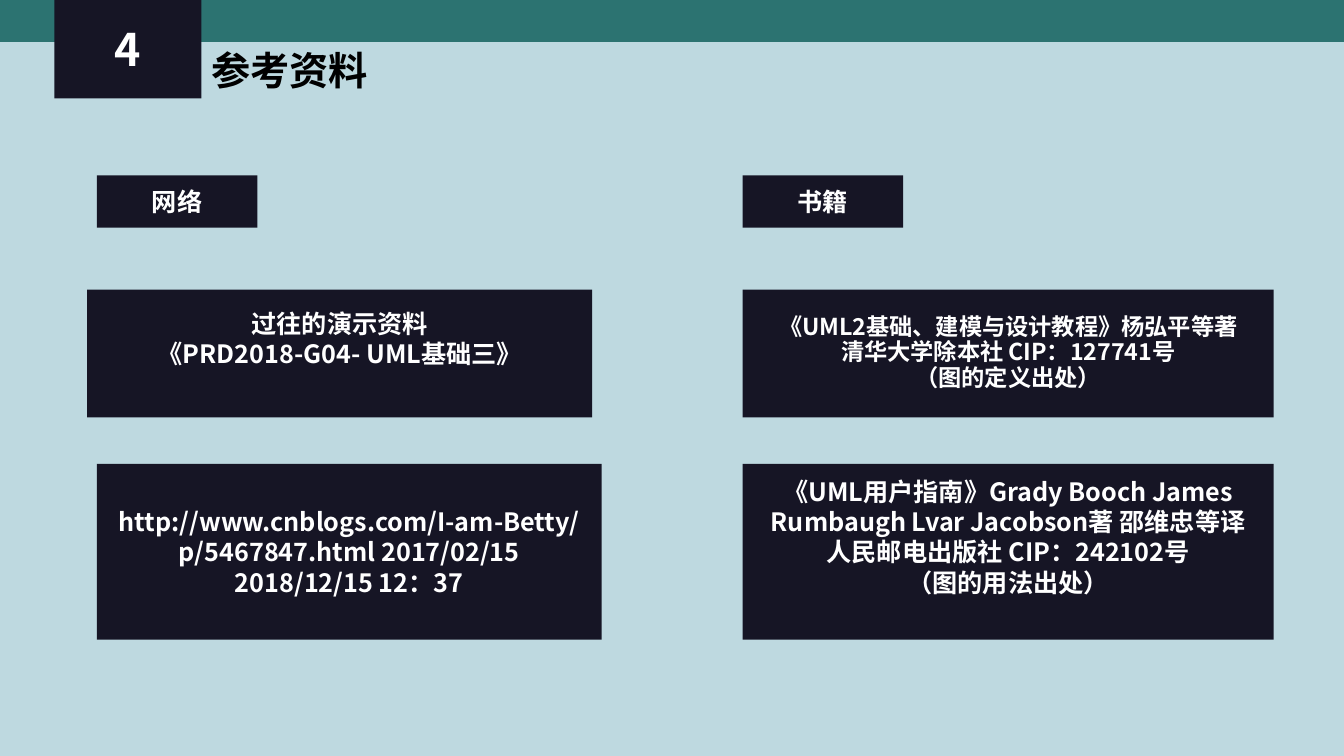
from dataclasses import dataclass

from lxml import etree
from pptx import Presentation
from pptx import util as u
from pptx.dml.color import RGBColor
from pptx.enum import shapes, text
from pptx.oxml.ns import qn


@dataclass(frozen=True)
class Theme:
    background: str = "BED9E0"
    band: str = "2C7371"
    panel: str = "161525"
    light: str = "FFFFFF"
    dark: str = "000000"
    latin_title: str = "Arial"
    body_font: str = "Noto Sans CJK SC"
    number_size: float = 32
    title_size: float = 28
    body_size: float = 18
    compact_size: float = 16.6


class ReferenceSlide:
    def __init__(self, presentation, theme):
        self.theme = theme
        layout = presentation.slide_layouts.get_by_name("Title Only")
        self.slide = presentation.slides.add_slide(layout)
        fill = self.slide.background.fill
        fill.solid()
        fill.fore_color.rgb = RGBColor.from_string(theme.background)

    def style(self, paragraph, size, color, font_name, alignment):
        paragraph.alignment = alignment
        font = paragraph.font
        font.size, font.bold, font.name = u.Pt(size), True, font_name
        font.color.rgb = RGBColor.from_string(color)
        properties = paragraph._p.pPr.find(qn("a:defRPr"))
        east_asian = etree.SubElement(properties, qn("a:ea"))
        east_asian.set("typeface", self.theme.body_font)

    def title(self, words, left, top, width, height):
        shape = self.slide.shapes.title
        shape.left, shape.top = u.Cm(left), u.Cm(top)
        shape.width, shape.height = u.Cm(width), u.Cm(height)
        frame = shape.text_frame
        frame.text = words
        frame.vertical_anchor = text.MSO_ANCHOR.TOP
        frame.auto_size = text.MSO_AUTO_SIZE.NONE
        self.style(frame.paragraphs[0], self.theme.title_size, self.theme.dark,
                   self.theme.latin_title, text.PP_ALIGN.LEFT)

    def rectangle(self, left, top, width, height, color):
        shape = self.slide.shapes.add_shape(
            shapes.MSO_SHAPE.RECTANGLE,
            u.Cm(left), u.Cm(top), u.Cm(width), u.Cm(height))
        shape.shadow.inherit = False
        shape.fill.solid()
        shape.fill.fore_color.rgb = RGBColor.from_string(color)
        shape.line.fill.background()
        return shape

    def panel(self, lines, left, top, width, height, size=None,
              line_spacing=None, bottom=0.13):
        """Draw a dark box with centred bold lines; bottom is its lower inset."""
        shape = self.rectangle(left, top, width, height, self.theme.panel)
        frame = shape.text_frame
        frame.word_wrap = True
        frame.vertical_anchor = text.MSO_ANCHOR.MIDDLE
        frame.margin_bottom = u.Cm(bottom)
        frame.text = "\n".join(lines)
        for paragraph in frame.paragraphs:
            paragraph.line_spacing = line_spacing
            self.style(paragraph, size or self.theme.body_size, self.theme.light,
                       self.theme.body_font, text.PP_ALIGN.CENTER)


def main():
    presentation = Presentation()
    presentation.slide_width, presentation.slide_height = u.Cm(33.88), u.Cm(19.05)
    theme = Theme()
    page = ReferenceSlide(presentation, theme)

    page.rectangle(0, 0, 33.88, 1.06, theme.band)
    page.panel(["4"], 1.37, 0, 3.71, 2.48, size=theme.number_size)
    page.title("参考资料", 5.08, 1.04, 16.26, 1.45)

    web_left, book_left = 2.44, 18.72
    web_width, book_width = 12.73, 13.39
    label_top, label_width, label_height = 4.42, 4.05, 1.32
    upper_top, upper_height = 7.3, 3.22
    lower_top, lower_height = 11.69, 4.43
    raised = 0.89

    for label, left in (("网络", web_left), ("书籍", book_left)):
        page.panel([label], left, label_top, label_width, label_height)

    page.panel(["过往的演示资料", "《PRD2018-G04- UML基础三》"],
               2.2, upper_top, web_width, upper_height, bottom=raised)
    page.panel(["http://www.cnblogs.com/I-am-Betty/p/5467847.html 2017/02/15",
                "2018/12/15 12：37"],
               web_left, lower_top, web_width, lower_height)
    page.panel(["《UML2基础、建模与设计教程》杨弘平等著",
                "清华大学除本社 CIP：127741号",
                "（图的定义出处）"],
               book_left, upper_top, book_width, upper_height,
               size=theme.compact_size, line_spacing=0.9)
    page.panel(["《UML用户指南》Grady Booch James Rumbaugh Lvar Jacobson著 邵维忠等译",
                "人民邮电出版社 CIP：242102号",
                "（图的用法出处）"],
               book_left, lower_top, book_width, lower_height, bottom=raised)

    presentation.save("out.pptx")


if __name__ == "__main__":
    main()
